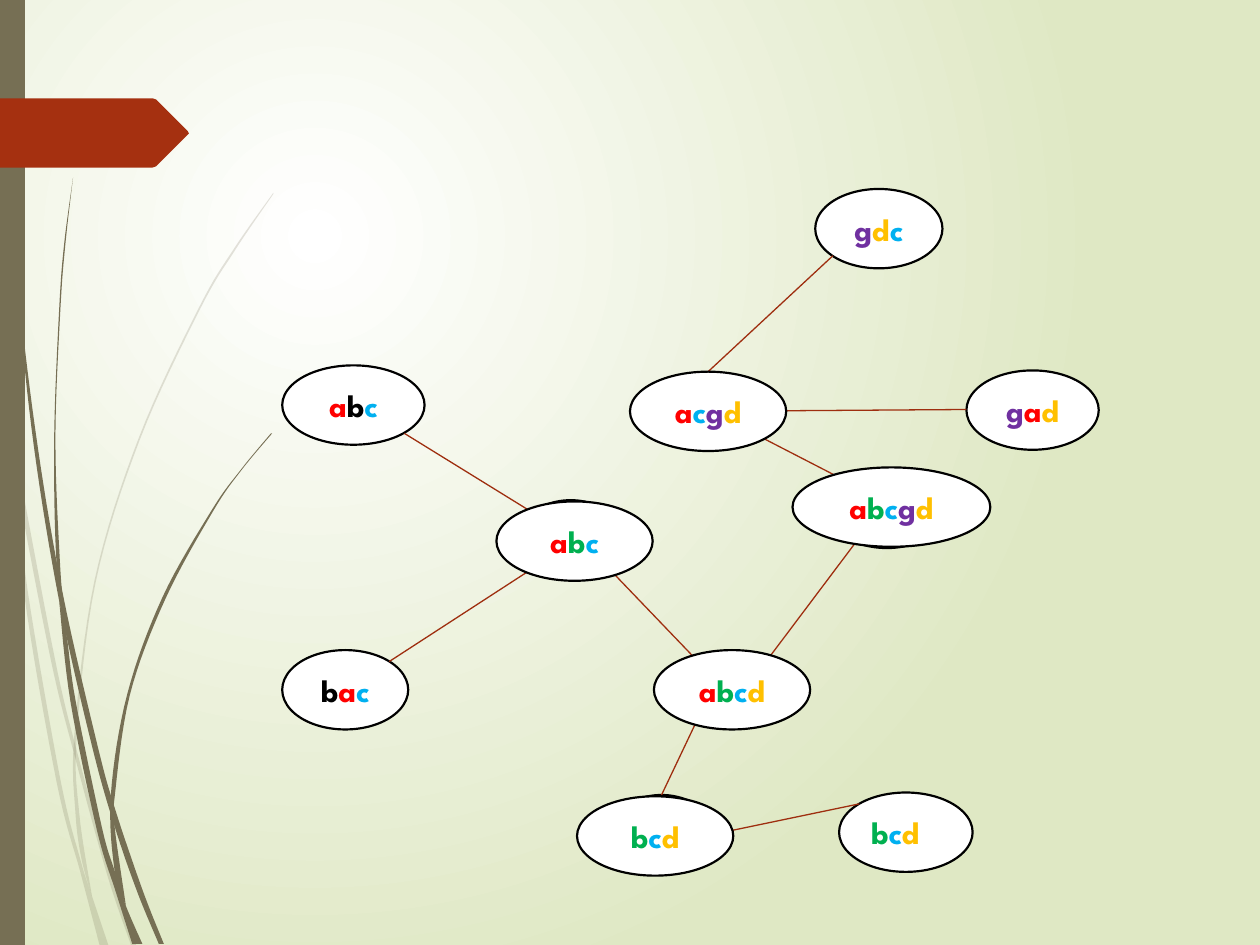
from lxml import etree
from pptx import Presentation
from pptx.dml.color import RGBColor
from pptx.enum.shapes import MSO_CONNECTOR, MSO_SHAPE
from pptx.enum.text import MSO_ANCHOR, PP_ALIGN
from pptx.oxml.ns import qn
from pptx.util import Cm, Pt

WHITE = RGBColor(0xFF, 0xFF, 0xFF)
BLACK = RGBColor(0x00, 0x00, 0x00)
PALE_GREEN = RGBColor(0xDF, 0xE8, 0xC4)
OLIVE = RGBColor(0x76, 0x6F, 0x54)
RUST = RGBColor(0xA5, 0x30, 0x10)
EDGE = RGBColor(0x9E, 0x2E, 0x0F)
LETTERS = {
    "a": RGBColor(0xFF, 0x00, 0x00),
    "b": RGBColor(0x00, 0xB0, 0x50),
    "c": RGBColor(0x00, 0xB0, 0xF0),
    "d": RGBColor(0xFF, 0xC0, 0x00),
    "g": RGBColor(0x70, 0x30, 0xA0),
}
PLAIN_B = {**LETTERS, "b": BLACK}
FONT = "League Spartan"
NODE_H = 0.63

PALE_STRANDS = [
    ([(0, 2.82), (0.1, 3.45), (0.43, 5.2), (0.61, 5.96), (0.88, 6.92), (1.08, 7.5)],
     [(0, 2.99), (0.12, 3.76), (0.4, 5.22), (0.59, 5.99), (0.85, 6.94), (1.04, 7.5)]),
    ([(0.08, 3.5), (0.12, 3.76), (0.22, 4.69), (0.48, 6.19), (0.64, 6.83), (0.73, 7.11),
      (0.86, 7.5)],
     [(0.08, 3.5), (0.19, 4.7), (0.45, 6.21), (0.64, 6.93), (0.79, 7.5)]),
    ([(2.17, 1.53), (1.86, 1.97), (1.58, 2.44), (1.1, 3.48), (0.75, 4.61), (0.59, 5.84),
      (0.6, 6.46), (0.65, 6.83), (0.73, 7.11)],
     [(2.17, 1.54), (1.87, 1.98), (1.59, 2.45), (1.11, 3.49), (0.76, 4.62), (0.61, 5.84),
      (0.63, 6.46), (0.73, 7.11)]),
]
DARK_STRANDS = [
    ([(0.03, 0), (0.06, 1.09), (0.15, 2.32), (0.3, 3.55), (0.5, 4.72), (0.77, 5.9),
      (0.91, 6.41), (1.13, 7.06), (1.3, 7.49)],
     [(0.02, 0), (0.05, 1.1), (0.14, 2.33), (0.27, 3.55), (0.47, 4.77), (0.73, 5.92),
      (0.91, 6.56), (1.09, 7.08), (1.26, 7.49)]),
    ([(0.47, 4.77), (0.53, 5.05), (0.6, 5.56), (0.81, 6.57), (0.91, 6.91), (1, 7.19),
      (1.13, 7.49)],
     [(0.47, 4.77), (0.56, 5.57), (0.77, 6.59), (0.92, 7.08), (1.05, 7.49)]),
    ([(0.58, 1.41), (0.51, 1.93), (0.47, 2.45), (0.43, 3.49), (0.45, 4.49), (0.53, 5.05)],
     [(0.58, 1.41), (0.52, 1.93), (0.48, 2.45), (0.44, 3.49), (0.48, 4.53), (0.53, 5.05)]),
    ([(2.15, 3.44), (1.91, 3.73), (1.68, 4.05), (1.29, 4.74), (1.01, 5.51), (0.88, 6.31),
      (0.91, 6.91), (1, 7.19)],
     [(2.16, 3.44), (1.91, 3.74), (1.69, 4.06), (1.31, 4.76), (1.03, 5.52), (0.91, 6.33),
      (0.91, 6.56), (1, 7.19)]),
]
TAG = [(0, 0), (1.21, 0), (1.24, 0.01), (1.49, 0.26), (1.5, 0.28), (1.49, 0.29),
       (1.24, 0.54), (1.21, 0.55), (0, 0.55)]

BACK_NODES = [("", 4.11, 3.97, 0.84), ("", 6.56, 3.72, 0.96), ("", 4.83, 6.31, 0.84)]
LEAF_NODES = [("gdc", 6.47, 1.5, 1.01), ("gad", 7.67, 2.94, 1.05)]
PLAIN_NODES = [("abc", 2.24, 2.9, 1.13), ("bac", 2.24, 5.16, 1)]
HUB_NODES = [("acgd", 5, 2.95, 1.24), ("abc", 3.94, 3.98, 1.24), ("bcd", 4.58, 6.32, 1.24),
             ("abcgd", 6.29, 3.71, 1.57), ("abcd", 5.19, 5.16, 1.24)]
EDGES = [
    (3.21, 3.44, 4.23, 4.07), (3.09, 5.25, 4.23, 4.51), (4.83, 4.51, 5.54, 5.25),
    (6.08, 5.25, 6.78, 4.32), (6.06, 3.48, 6.7, 3.81), (6.24, 3.26, 7.67, 3.25),
    (5.62, 2.95, 6.61, 2.03), (5.54, 5.7, 5.25, 6.31), (5.67, 6.62, 6.82, 6.38),
]


def inch(value):
    """Convert inches to a Cm length."""
    return Cm(value * 2.54)


def smooth(points, steps=8):
    """Return a Catmull-Rom curve through the points."""
    padded = [points[0], *points, points[-1]]
    curve = [points[0]]
    for a, b, c, d in zip(padded, padded[1:], padded[2:], padded[3:]):
        for i in range(1, steps + 1):
            t = i / steps
            curve.append(tuple(
                q + (r - p) * t / 2 + (2 * p - 5 * q + 4 * r - u) * t**2 / 2
                + (3 * q - p - 3 * r + u) * t**3 / 2
                for p, q, r, u in zip(a, b, c, d)))
    return curve


def add_outline(s, left, top, points, color):
    """Draw a filled polygon offset from the box corner."""
    pts = [(inch(left + x), inch(top + y)) for x, y in points]
    builder = s.shapes.build_freeform(*pts[0])
    builder.add_line_segments(pts[1:], close=True)
    sp = builder.convert_to_shape()
    sp.shadow.inherit = False
    sp.fill.solid()
    sp.fill.fore_color.rgb = color
    sp.line.fill.background()
    return sp


def add_strands(s, left, top, strands, opacity=100):
    """Draw grass strands, each between two smooth edges."""
    for near, far in strands:
        sp = add_outline(s, left, top, smooth(near) + smooth(far)[::-1], OLIVE)
        if opacity < 100:
            clr = sp.element.spPr.find(".//" + qn("a:srgbClr"))
            etree.SubElement(clr, qn("a:alpha"), val=str(opacity * 1000))


def add_backdrop(s, left, top, height):
    """Draw the radial background, grass, side bar and tag."""
    fill = s.background.fill
    fill.gradient()
    for stop, color in zip(fill.gradient_stops, (WHITE, PALE_GREEN)):
        stop.color.rgb = color
    lin = s.element.find(".//" + qn("a:lin"))
    radial = etree.Element(qn("a:path"), path="circle")
    etree.SubElement(radial, qn("a:fillToRect"), l="50000", t="50000", r="100000", b="100000")
    lin.getparent().replace(lin, radial)
    add_strands(s, left, top, PALE_STRANDS, opacity=20)
    add_strands(s, left, top, DARK_STRANDS)
    add_outline(s, left, top, [(0, 0), (0.2, 0), (0.2, height), (0, height)], OLIVE)
    add_outline(s, left, top + 0.78, TAG, RUST)


def add_node(s, label, left, top, width, palette=LETTERS, align=PP_ALIGN.CENTER):
    """Draw an ellipse with one coloured run per letter."""
    sp = s.shapes.add_shape(MSO_SHAPE.OVAL, inch(left), inch(top), inch(width), inch(NODE_H))
    sp.shadow.inherit = False
    sp.fill.solid()
    sp.fill.fore_color.rgb = WHITE
    sp.line.color.rgb = BLACK
    sp.line.width = Pt(1.25)
    tf = sp.text_frame
    tf.vertical_anchor = MSO_ANCHOR.MIDDLE
    p = tf.paragraphs[0]
    p.alignment = align
    for letter in label:
        r = p.add_run()
        r.text = letter
        r.font.name = FONT
        r.font.size = Pt(18)
        r.font.bold = True
        r.font.color.rgb = palette[letter]


def add_edge(s, x1, y1, x2, y2):
    """Draw a thin line between two nodes."""
    line = s.shapes.add_connector(MSO_CONNECTOR.STRAIGHT, inch(x1), inch(y1), inch(x2), inch(y2))
    line.line.color.rgb = EDGE
    line.line.width = Pt(0.75)
    etree.SubElement(line.element.spPr, qn("a:effectLst"))


def add_graph(s, left, top):
    """Draw the letter graph, with hubs above the edges."""
    for label, x, y, w in BACK_NODES + LEAF_NODES:
        add_node(s, label, left + x, top + y, w)
    for label, x, y, w in PLAIN_NODES:
        add_node(s, label, left + x, top + y, w, PLAIN_B)
    add_node(s, "bcd", left + 6.66, top + 6.29, 1.06, align=PP_ALIGN.LEFT)
    for x1, y1, x2, y2 in EDGES:
        add_edge(s, left + x1, top + y1, left + x2, top + y2)
    for label, x, y, w in HUB_NODES:
        add_node(s, label, left + x, top + y, w)


def main():
    """Build and save the slide."""
    prs = Presentation()
    prs.slide_width, prs.slide_height = inch(10), inch(7.5)
    s = prs.slides.add_slide(prs.slide_layouts[6])
    add_backdrop(s, 0, 0, 7.5)
    add_graph(s, 0, 0)
    prs.save("out.pptx")


if __name__ == "__main__":
    main()
